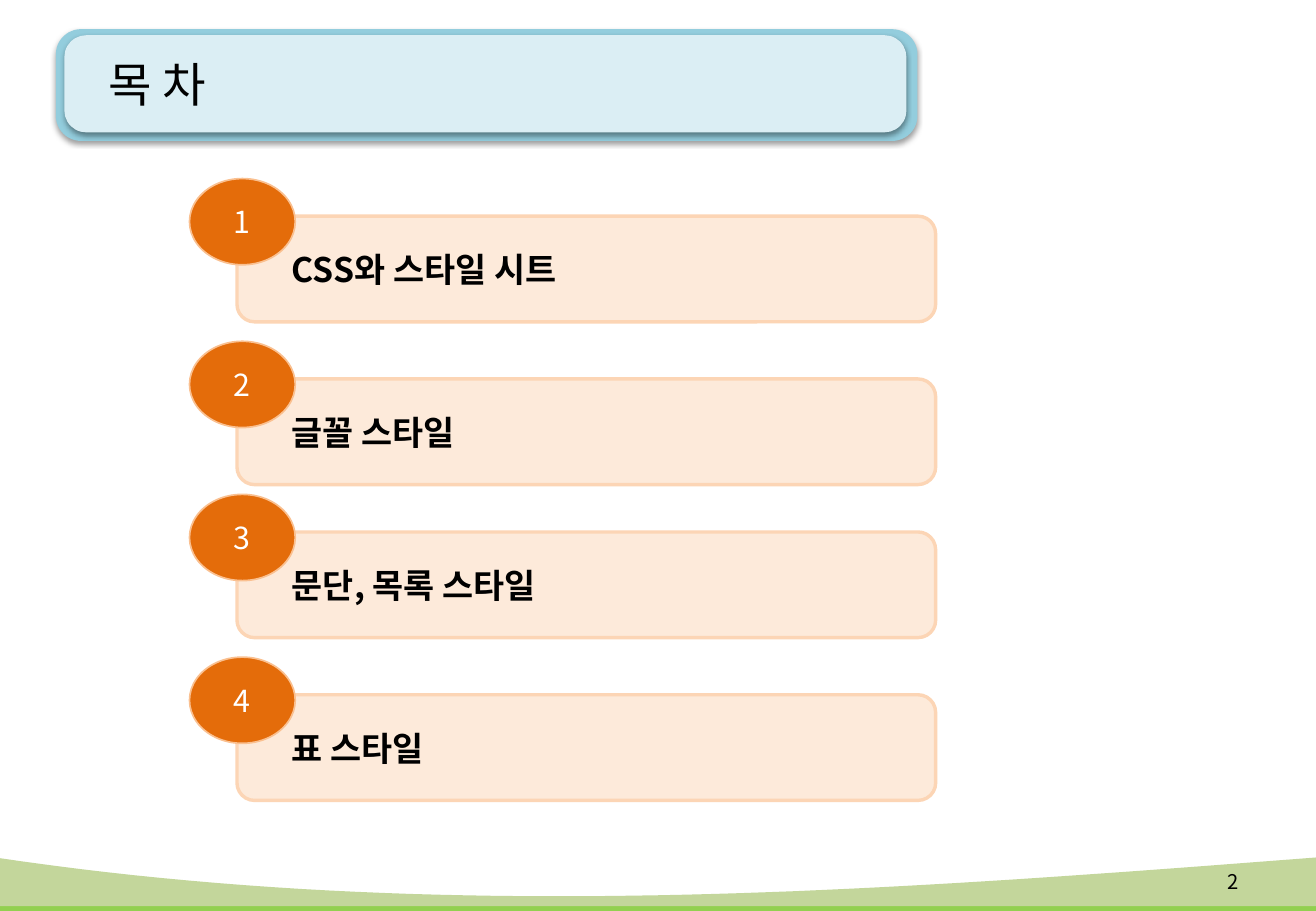
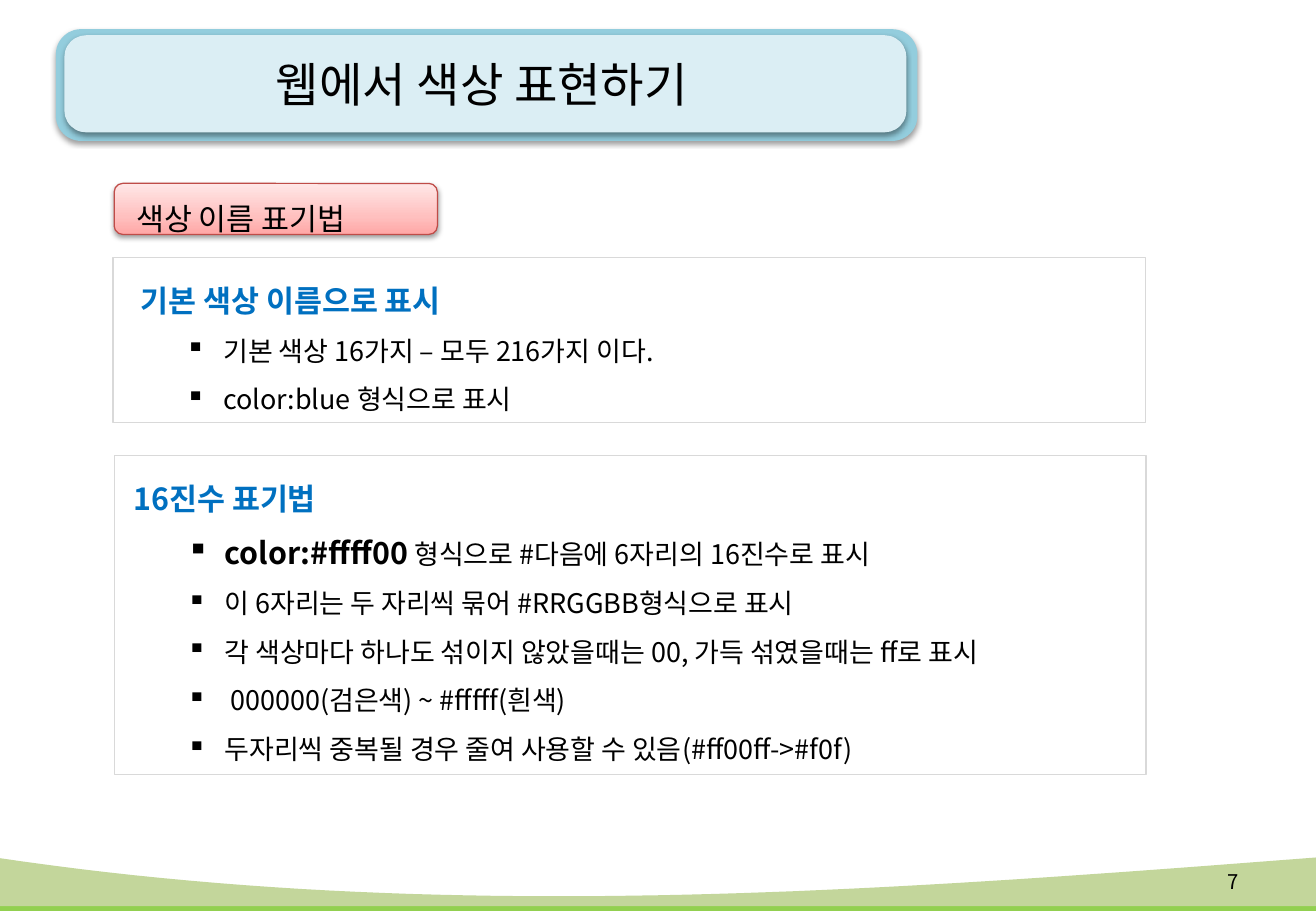
from dataclasses import dataclass
from typing import Optional

from lxml.etree import SubElement
from pptx import Presentation
from pptx.dml.color import RGBColor
from pptx.enum.shapes import MSO_SHAPE as Preset
from pptx.enum.text import MSO_ANCHOR as Anchor, MSO_AUTO_SIZE as AutoSize, PP_ALIGN as Align
from pptx.oxml import parse_xml
from pptx.oxml.ns import nsdecls, qn
from pptx.util import Pt

PX = 9144
WIDTH, HEIGHT = 1083, 750
FONT = "Noto Sans CJK KR"
COLORS = {
    "text": "000000", "white": "FFFFFF", "heading": "0070C0",
    "footer_line": "92D050", "footer_wave": "C3D69B",
    "title_rim": "93CDDD", "title_panel": "DBEEF4",
    "agenda_fill": "FDEADA", "agenda_line": "FCD5B5",
    "badge_fill": "E46C0A", "badge_line": "FAC090",
    "tag_low": "FFA6A5", "tag_mid": "FFC0BF", "tag_high": "FFE7E7",
    "tag_line": "BF4C48", "box_line": "D9D9D9",
}


@dataclass(frozen=True)
class Rect:
    left: int
    top: int
    width: int
    height: int

    def emu(self) -> tuple[int, ...]:
        return tuple(v * PX for v in (self.left, self.top, self.width, self.height))


@dataclass(frozen=True)
class Wave:
    color: str
    edge: int
    controls: tuple[int, int]
    bottom: int


@dataclass(frozen=True)
class Bullet:
    text: str
    lead: str = ""
    shift: int = 0


@dataclass(frozen=True)
class Section:
    rect: Rect
    heading: str
    indent: int
    bullets: tuple[Bullet, ...]


WAVES = (Wave("footer_line", 724, (760, 743), 750), Wave("footer_wave", 706, (761, 734), 746))
TITLE_PANELS = ((Rect(46, 24, 709, 92), "title_rim"), (Rect(53, 29, 693, 80), "title_panel"))
AGENDA = ((178, "CSS와 스타일 시트"), (312, "글꼴 스타일"), (438, "문단, 목록 스타일"), (572, "표 스타일"))
SECTIONS = (
    Section(Rect(93, 212, 850, 136), "기본 색상 이름으로 표시", 13, (
        Bullet("기본 색상 16가지 – 모두 216가지 이다."),
        Bullet("color:blue 형식으로 표시"),
    )),
    Section(Rect(94, 375, 849, 263), "16진수 표기법", 6, (
        Bullet(" 형식으로 #다음에 6자리의 16진수로 표시", lead="color:#ffff00"),
        Bullet("이 6자리는 두 자리씩 묶어 #RRGGBB형식으로 표시"),
        Bullet("각 색상마다 하나도 섞이지 않았을때는 00, 가득 섞였을때는 ff로 표시"),
        Bullet("000000(검은색) ~ #fffff(흰색)", shift=5),
        Bullet("두자리씩 중복될 경우 줄여 사용할 수 있음(#ff00ff->#f0f)"),
    )),
)


def rgb(name: str) -> RGBColor:
    return RGBColor.from_string(COLORS[name])


def style(para, size: int, color: str = "text", bold: bool = False, align=Align.LEFT) -> None:
    para.alignment = align
    font = para.font
    font.size, font.bold, font.name = Pt(size), bold, FONT
    font.color.rgb = rgb(color)
    defaults = para._p.get_or_add_pPr().find(qn("a:defRPr"))
    SubElement(defaults, qn("a:ea")).set("typeface", FONT)


def indent(para, left: int, hanging: int = 0) -> None:
    props = para._p.get_or_add_pPr()
    props.set("marL", str(left * PX))
    props.set("indent", str(-hanging * PX))


def write(shape, text: str, size: int, color: str = "text", bold: bool = False,
          align=Align.LEFT, margin: int = 10):
    frame = shape.text_frame
    frame.word_wrap = True
    frame.auto_size = AutoSize.NONE
    frame.vertical_anchor = Anchor.MIDDLE
    frame.margin_left = margin * PX
    para = frame.paragraphs[0]
    para.text = text
    style(para, size, color, bold, align)
    return para


def paint(shape, fill: Optional[str], line: Optional[str] = None, weight: float = 1) -> None:
    shape.shadow.inherit = False
    if fill:
        shape.fill.solid()
        shape.fill.fore_color.rgb = rgb(fill)
    else:
        shape.fill.background()
    if line:
        shape.line.color.rgb = rgb(line)
        shape.line.width = Pt(weight)
    else:
        shape.line.fill.background()


def add_panel(page, preset, rect: Rect, fill: Optional[str], line: Optional[str] = None,
              weight: float = 1):
    shape = page.shapes.add_shape(preset, *rect.emu())
    paint(shape, fill, line, weight)
    return shape


def add_shadow(shape) -> None:
    effects = shape.element.spPr.find(qn("a:effectLst"))
    effects.append(parse_xml(
        f'<a:outerShdw {nsdecls("a")} blurRad="40000" dist="20000" dir="5400000" rotWithShape="0">'
        f'<a:srgbClr val="{COLORS["text"]}"><a:alpha val="38000"/></a:srgbClr></a:outerShdw>'))


def add_gradient(shape, stops: tuple[tuple[int, str], ...]) -> None:
    marks = "".join(f'<a:gs pos="{pos * 1000}"><a:srgbClr val="{COLORS[name]}"/></a:gs>'
                    for pos, name in stops)
    props = shape.element.spPr
    props.replace(props.find(qn("a:solidFill")), parse_xml(
        f'<a:gradFill {nsdecls("a")} rotWithShape="1"><a:gsLst>{marks}</a:gsLst>'
        '<a:lin ang="16200000" scaled="0"/></a:gradFill>'))


def add_wave(page, wave: Wave, steps: int = 48) -> None:
    def bezier(t: float, a: int, b: int, c: int, d: int) -> int:
        u = 1 - t
        return round((u**3 * a + 3 * u * u * t * b + 3 * u * t * t * c + t**3 * d) * PX)

    curve = [(bezier(i / steps, -4, 364, 719, WIDTH),
              bezier(i / steps, wave.edge, *wave.controls, wave.edge)) for i in range(steps + 1)]
    corners = [(WIDTH * PX, wave.bottom * PX), (-4 * PX, wave.bottom * PX)]
    builder = page.shapes.build_freeform(*curve[0], scale=1.0)
    builder.add_line_segments(curve[1:] + corners, close=True)
    paint(builder.convert_to_shape(), wave.color)


def add_page(deck, title: str, number: int, align=Align.LEFT, margin: int = 10):
    page = deck.slides.add_slide(deck.slide_layouts[5])
    line, wave = WAVES
    add_wave(page, line)
    for rect, fill in TITLE_PANELS:
        panel = add_panel(page, Preset.ROUNDED_RECTANGLE, rect, fill)
        panel.adjustments[0] = 0.225
        add_shadow(panel)
    add_wave(page, wave)

    heading = page.shapes.title
    heading.left, heading.top, heading.width, heading.height = Rect(46, 22, 701, 94).emu()
    write(heading, title, 28, align=align, margin=margin)
    heading.element.getparent().append(heading.element)
    number_box = page.shapes.add_textbox(*Rect(968, 706, 61, 40).emu())
    write(number_box, str(number), 12, align=Align.RIGHT)
    return page


def add_agenda(page) -> None:
    for number, (top, text) in enumerate(AGENDA, 1):
        bar = add_panel(page, Preset.ROUNDED_RECTANGLE, Rect(195, top, 575, 87),
                        "agenda_fill", "agenda_line", 2)
        write(bar, text, 20, bold=True, margin=41)
        badge = add_panel(page, Preset.OVAL, Rect(156, top - 31, 87, 71),
                          "badge_fill", "badge_line")
        write(badge, str(number), 18, "white", align=Align.CENTER)


def add_tag(page, text: str) -> None:
    tag = add_panel(page, Preset.ROUNDED_RECTANGLE, Rect(94, 151, 266, 42),
                    "tag_low", "tag_line", 0.75)
    add_gradient(tag, ((0, "tag_low"), (35, "tag_mid"), (100, "tag_high")))
    add_shadow(tag)
    write(tag, text, 18, margin=16).line_spacing = 1.5


def add_section(page, section: Section) -> None:
    box = add_panel(page, Preset.RECTANGLE, section.rect, None, "box_line", 0.75)
    heading = write(box, section.heading, 18, "heading", bold=True)
    heading.line_spacing = 1.5
    indent(heading, section.indent)
    frame = box.text_frame
    frame.vertical_anchor = Anchor.TOP
    frame.auto_size = AutoSize.SHAPE_TO_FIT_TEXT
    for bullet in section.bullets:
        para = frame.add_paragraph()
        para.line_spacing = 1.5
        indent(para, 81 + bullet.shift, 31 + bullet.shift)
        SubElement(para._p.get_or_add_pPr(), qn("a:buChar")).set("char", "▪")
        style(para, 16)
        if bullet.lead:
            span = para.add_run()
            span.text = bullet.lead
            span.font.size, span.font.bold = Pt(18), True
        para.add_run().text = bullet.text


def main() -> None:
    deck = Presentation()
    deck.slide_width, deck.slide_height = WIDTH * PX, HEIGHT * PX

    add_agenda(add_page(deck, "목 차", 2, margin=43))

    page = add_page(deck, "웹에서 색상 표현하기", 7, Align.CENTER)
    add_tag(page, "색상 이름 표기법")
    for section in SECTIONS:
        add_section(page, section)

    deck.save("out.pptx")


if __name__ == "__main__":
    main()
